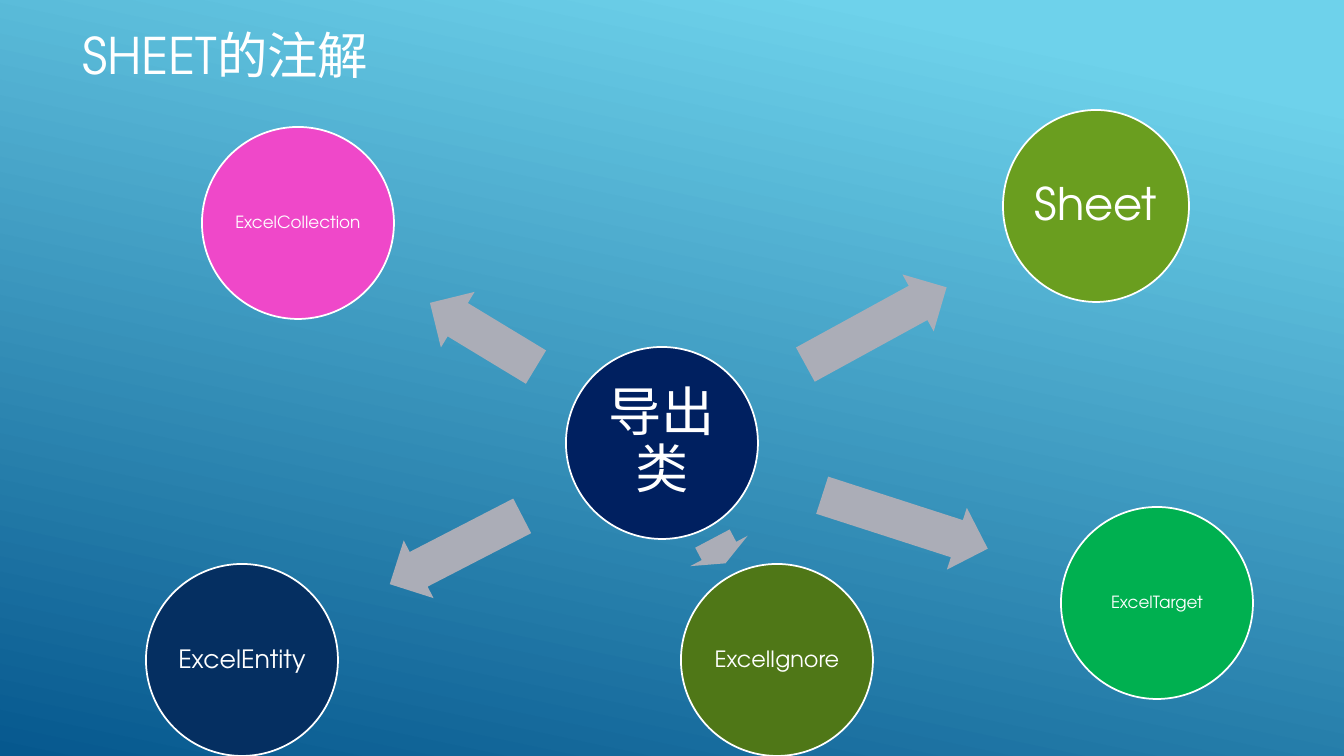
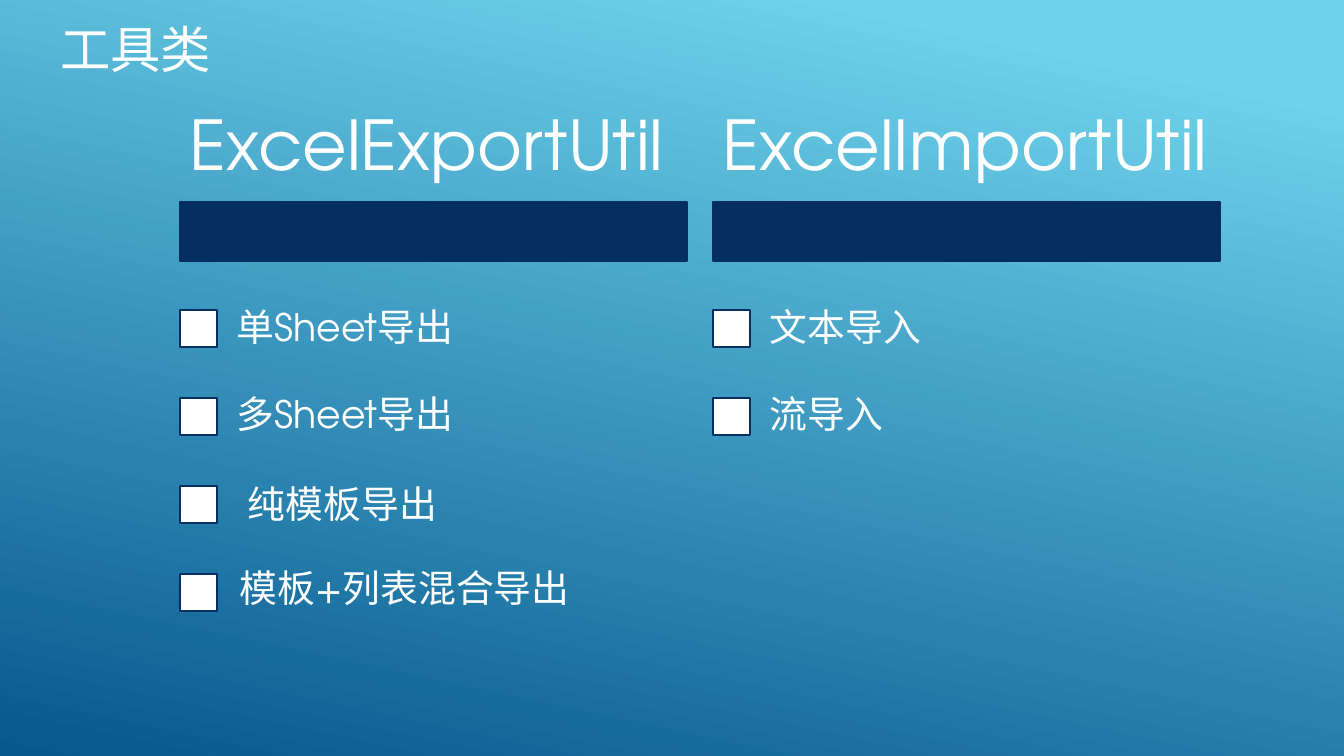
"""Build two slides on spreadsheet annotations and utility classes."""
from pptx import Presentation
from pptx import util as u
from pptx.dml.color import RGBColor
from pptx.enum import shapes, text

PX = u.Inches(1) / 100.8
FONT = "TeX Gyre Adventor"

WHITE = RGBColor(0xFF, 0xFF, 0xFF)
SKY = RGBColor(0x6E, 0xD2, 0xEB)
OCEAN = RGBColor(0x06, 0x58, 0x8E)
DEEP_NAVY = RGBColor(0x00, 0x20, 0x60)
NAVY = RGBColor(0x05, 0x2F, 0x61)
GREY = RGBColor(0xAB, 0xAD, 0xB7)
OLIVE = RGBColor(0x6A, 0x9E, 0x1F)
MOSS = RGBColor(0x4F, 0x77, 0x17)
GREEN = RGBColor(0x00, 0xB0, 0x50)
PINK = RGBColor(0xEF, 0x48, 0xC9)

CIRCLES = [
    ("导出类", 662, 443, 192, 38, DEEP_NAVY),
    ("Sheet", 1096, 206, 186, 32, OLIVE),
    ("ExcelTarget", 1157, 603, 192, 12, GREEN),
    ("ExcelIgnore", 777, 660, 192, 16, MOSS),
    ("ExcelEntity", 242, 660, 192, 18, NAVY),
    ("ExcelCollection", 298, 223, 192, 12, PINK),
]
ARROWS = [
    (876, 326, 161, 331.3),
    (905, 522, 174, 17.9),
    (719, 551, 28, 62.1),
    (456, 550, 149, 152.7),
    (483, 335, 124, 211.2),
]
COLUMNS = [
    ("ExcelExportUtil", 180, [
        ("单Sheet导出", 0, 0),
        ("多Sheet导出", 0, 0),
        ("纯模板导出", 11, 3),
        ("模板+列表混合导出", 3, 0),
    ]),
    ("ExcelImportUtil", 713, [
        ("文本导入", 0, 0),
        ("流导入", 0, 0),
    ]),
]


def px(*lengths):
    """Turn pixel lengths into EMU."""
    return [u.Emu(round(n * PX)) for n in lengths]


def set_background(master):
    """Give the slide master the shared blue gradient."""
    fill = master.background.fill
    fill.gradient()
    fill.gradient_angle = 258
    for stop, color, position in zip(fill.gradient_stops, (SKY, OCEAN), (0.1, 1)):
        stop.color.rgb = color
        stop.position = position


def write(sp, words, size, align=text.PP_ALIGN.LEFT, spacing=0.9):
    """Write one white paragraph, centred vertically, into a shape."""
    tf = sp.text_frame
    tf.word_wrap = True
    tf.auto_size = text.MSO_AUTO_SIZE.NONE
    tf.vertical_anchor = text.MSO_ANCHOR.MIDDLE
    p = tf.paragraphs[0]
    p.text = words
    p.alignment = align
    p.line_spacing = spacing
    p.font.name = FONT
    p.font.size = u.Pt(size)
    p.font.color.rgb = WHITE


def set_margins(sp, x, y):
    """Set the side and the top and bottom text margins."""
    tf = sp.text_frame
    tf.margin_left, tf.margin_right, tf.margin_top, tf.margin_bottom = px(x, x, y, y)


def add_slide(prs, title, left, top):
    """Add a slide with a placed and formatted title."""
    s = prs.slides.add_slide(prs.slide_layouts.get_by_name("Title Only"))
    sp = s.shapes.title
    sp.left, sp.top, sp.width, sp.height = px(left, top, 1159, 146)
    write(sp, title, 36, spacing=1)
    return s


def add_figure(s, kind, left, top, width, height, fill, line=None):
    """Add a filled preset shape, outlined if a line colour is given."""
    sp = s.shapes.add_shape(kind, *px(left, top, width, height))
    sp.shadow.inherit = False
    sp.fill.solid()
    sp.fill.fore_color.rgb = fill
    if line is None:
        sp.line.fill.background()
    else:
        sp.line.color.rgb = line
        sp.line.width = u.Pt(1.25)
    return sp


def add_circle(s, words, cx, cy, width, size, color):
    """Add a labelled circle around a centre."""
    height = 192
    sp = add_figure(s, shapes.MSO_SHAPE.OVAL, cx - width / 2, cy - height / 2,
                    width, height, color, WHITE)
    set_margins(sp, 2, 2)
    write(sp, words, size, text.PP_ALIGN.CENTER)


def add_arrow(s, cx, cy, length, angle):
    """Add a grey block arrow turned about its centre."""
    height = 65
    sp = add_figure(s, shapes.MSO_SHAPE.RIGHT_ARROW, cx - length / 2, cy - height / 2,
                    length, height, GREY)
    sp.adjustments[0] = 0.6
    sp.adjustments[1] = 0.5
    sp.rotation = angle


def add_label(s, words, left, top, width, height, size, margins):
    """Add a text box with one line of text."""
    sp = s.shapes.add_textbox(*px(left, top, width, height))
    set_margins(sp, *margins)
    write(sp, words, size)


def add_column(s, heading, left, items):
    """Add a heading, its bar and a list of items with check boxes."""
    rect = shapes.MSO_SHAPE.RECTANGLE
    add_label(s, heading, left, 95, 507, 107, 49, (10, 7))
    add_figure(s, rect, left, 202, 507, 59, NAVY, NAVY)
    for i, (words, dx, dy) in enumerate(items):
        add_figure(s, rect, left, 310 + 88 * i, 37, 37, WHITE, NAVY)
        add_label(s, words, left + 36 + dx, 286 + 87 * i + dy, 472, 87, 27, (21, 21))


def main():
    """Build and save the presentation."""
    prs = Presentation()
    prs.slide_width, prs.slide_height = px(1344, 756)
    set_background(prs.slide_master)

    s = add_slide(prs, "SHEET的注解", 72, -19)
    for arrow in ARROWS:
        add_arrow(s, *arrow)
    for circle in CIRCLES:
        add_circle(s, *circle)

    s = add_slide(prs, "工具类", 50, -25)
    for column in COLUMNS:
        add_column(s, *column)

    prs.save("out.pptx")


if __name__ == "__main__":
    main()
